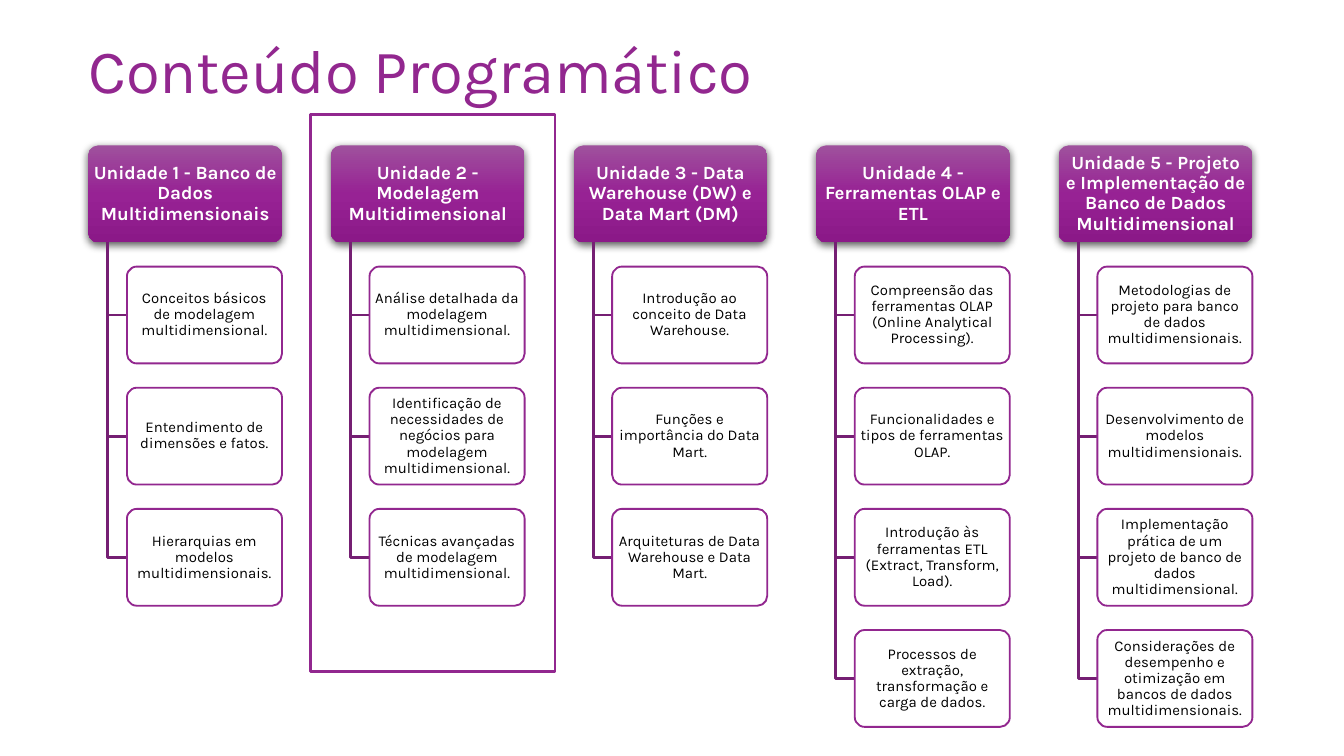
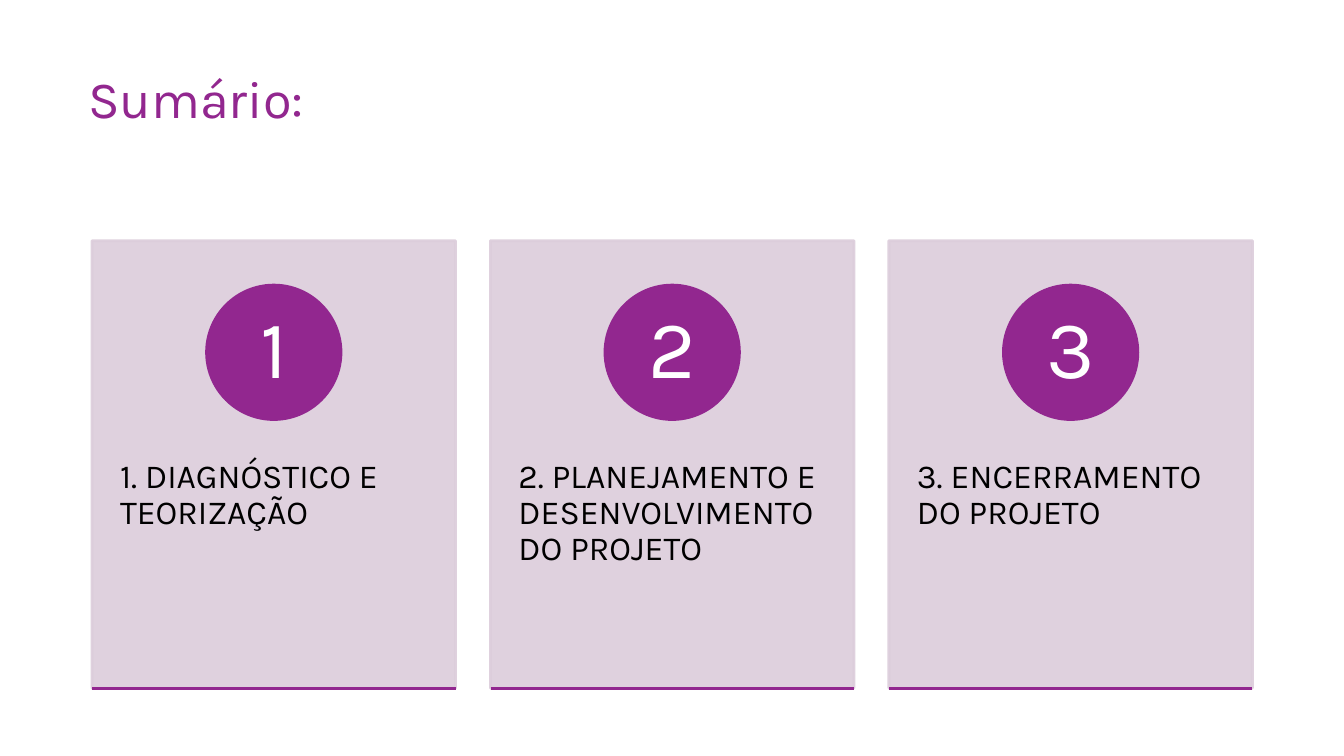
"""Builds the course content and summary slides."""
from copy import deepcopy

from lxml.etree import SubElement
from pptx import Presentation
from pptx.dml.color import RGBColor
from pptx.enum.shapes import MSO_CONNECTOR, MSO_SHAPE
from pptx.enum.text import MSO_ANCHOR, PP_ALIGN
from pptx.oxml.ns import qn
from pptx.util import Cm, Pt

PURPLE = RGBColor(0x92, 0x27, 0x8F)
DARK_PURPLE = RGBColor(0x75, 0x1F, 0x73)
LILAC = RGBColor(0xDC, 0xCD, 0xDB)
WHITE = RGBColor(0xFF, 0xFF, 0xFF)
BLACK = RGBColor(0x00, 0x00, 0x00)
HEADER_STOPS = [
    (0, RGBColor(0x9F, 0x51, 0x9D)),
    (0.5, RGBColor(0x97, 0x22, 0x94)),
    (1, RGBColor(0x8B, 0x19, 0x88)),
]
FONT = "Karla"

UNITS = [
    ("Unidade 1 - Banco de Dados Multidimensionais", [
        "Conceitos básicos de modelagem multidimensional.",
        "Entendimento de dimensões e fatos.",
        "Hierarquias em modelos multidimensionais.",
    ]),
    ("Unidade 2 - Modelagem Multidimensional", [
        "Análise detalhada da modelagem multidimensional.",
        "Identificação de necessidades de negócios para modelagem multidimensional.",
        "Técnicas avançadas de modelagem multidimensional.",
    ]),
    ("Unidade 3 - Data Warehouse (DW) e Data Mart (DM)", [
        "Introdução ao conceito de Data Warehouse.",
        "Funções e importância do Data Mart.",
        "Arquiteturas de Data Warehouse e Data Mart.",
    ]),
    ("Unidade 4 - Ferramentas OLAP e ETL", [
        "Compreensão das ferramentas OLAP (Online Analytical Processing).",
        "Funcionalidades e tipos de ferramentas OLAP.",
        "Introdução às ferramentas ETL (Extract, Transform, Load).",
        "Processos de extração, transformação e carga de dados.",
    ]),
    ("Unidade 5 - Projeto e Implementação de Banco de Dados Multidimensional", [
        "Metodologias de projeto para banco de dados multidimensionais.",
        "Desenvolvimento de modelos multidimensionais.",
        "Implementação prática de um projeto de banco de dados multidimensional.",
        "Considerações de desempenho e otimização em bancos de dados multidimensionais.",
    ]),
]
STAGES = [
    "1. DIAGNÓSTICO E TEORIZAÇÃO",
    "2. PLANEJAMENTO E DESENVOLVIMENTO DO PROJETO",
    "3. ENCERRAMENTO DO PROJETO",
]


def write(sp, text, size, color, margins, align=PP_ALIGN.CENTER,
          anchor=MSO_ANCHOR.MIDDLE, bold=False):
    tf = sp.text_frame
    tf.word_wrap = True
    tf.vertical_anchor = anchor
    tf.margin_left = tf.margin_right = Cm(margins[0])
    tf.margin_top = tf.margin_bottom = Cm(margins[1])
    p = tf.paragraphs[0]
    p.text = text
    p.alignment = align
    p.line_spacing = 0.9
    p.font.name = FONT
    p.font.size = Pt(size)
    p.font.bold = bold
    p.font.color.rgb = color


def add_box(s, kind, left, top, width, height, fill=None, line=None,
            weight=1.5, alpha=None):
    sp = s.shapes.add_shape(kind, Cm(left), Cm(top), Cm(width), Cm(height))
    sp.shadow.inherit = False
    if kind == MSO_SHAPE.ROUNDED_RECTANGLE:
        sp.adjustments[0] = 0.1
    if fill is None:
        sp.fill.background()
    else:
        sp.fill.solid()
        sp.fill.fore_color.rgb = fill
    if line is None:
        sp.line.fill.background()
    else:
        sp.line.color.rgb = line
        sp.line.width = Pt(weight)
    if alpha:
        color = sp.element.spPr.find(qn("a:solidFill"))[0]
        SubElement(color, qn("a:alpha"), val=str(alpha * 1000))
    return sp


prs = Presentation()
prs.slide_width, prs.slide_height = Cm(25.4), Cm(14.29)

slides = []
for title, size, top, width in [("Conteúdo Programático", 33, 0, 21.9),
                                ("Sumário:", 28, 0.53, 19.33)]:
    s = prs.slides.add_slide(prs.slide_layouts[6])
    sp = s.shapes.add_textbox(Cm(1.42), Cm(top), Cm(width), Cm(2.77))
    write(sp, title, size, PURPLE, (0.25, 0.13), PP_ALIGN.LEFT)
    slides.append(s)
content, summary = slides

header_top, header_w, box_h = 2.75, 3.66, 1.83
stem, indent, gap = 0.37, 0.73, 0.46
for col, (unit, topics) in enumerate(UNITS):
    left = 1.67 + col * 4.585
    bottom = header_top + box_h
    sp = add_box(content, MSO_SHAPE.ROUNDED_RECTANGLE, left, header_top,
                 header_w, box_h)
    sp.fill.gradient()
    sp.fill.gradient_angle = 270
    stops = sp.element.spPr.find(".//" + qn("a:gsLst"))
    stops.insert(1, deepcopy(stops[0]))
    for stop, (position, color) in zip(sp.fill.gradient_stops, HEADER_STOPS):
        stop.position = position
        stop.color.rgb = color
    shadow = SubElement(sp.element.spPr.find(qn("a:effectLst")), qn("a:outerShdw"),
                        blurRad=str(Pt(4.5)), dist=str(Pt(1.5)), dir="5400000",
                        algn="ctr", rotWithShape="0")
    color = SubElement(shadow, qn("a:srgbClr"), val=str(BLACK))
    SubElement(color, qn("a:alpha"), val="63000")
    write(sp, unit, 10, WHITE, (0.05, 0.03), bold=True)

    for row, topic in enumerate(topics):
        top = bottom + gap + row * (box_h + gap)
        middle = top + box_h / 2
        branch = content.shapes.build_freeform(Cm(left + stem), Cm(bottom))
        branch.add_line_segments([(Cm(left + stem), Cm(middle)),
                                  (Cm(left + indent), Cm(middle))], close=False)
        sp = branch.convert_to_shape()
        sp.shadow.inherit = False
        sp.fill.background()
        sp.line.color.rgb = DARK_PURPLE
        sp.line.width = Pt(1.5)
        sp = add_box(content, MSO_SHAPE.ROUNDED_RECTANGLE, left + indent, top,
                     header_w - indent, box_h, WHITE, PURPLE, 1, 90)
        write(sp, topic, 8, BLACK, (0.05, 0.03))

add_box(content, MSO_SHAPE.RECTANGLE, 5.87, 2.16, 4.62, 10.54, line=PURPLE)

card_top, card_w, card_h, circle = 4.55, 6.87, 8.46, 2.54
for i, stage in enumerate(STAGES):
    left = 1.74 + i * 7.53
    sp = add_box(summary, MSO_SHAPE.RECTANGLE, left, card_top, card_w, card_h,
                 LILAC, LILAC, alpha=90)
    color = sp.line._ln.find(qn("a:solidFill"))[0]
    SubElement(color, qn("a:alpha"), val="90000")
    write(sp, stage, 18, BLACK, (0.53, 0.91), PP_ALIGN.LEFT, MSO_ANCHOR.TOP)
    sp.text_frame.margin_top = Cm(4.13)

    sp = add_box(summary, MSO_SHAPE.OVAL, left + (card_w - circle) / 2, 5.39,
                 circle, circle, PURPLE, PURPLE)
    write(sp, str(i + 1), 44, WHITE, (0.2, 0.03))

    y = Cm(card_top + card_h)
    line = summary.shapes.add_connector(MSO_CONNECTOR.STRAIGHT, Cm(left), y,
                                        Cm(left + card_w), y)
    line.line.color.rgb = PURPLE
    line.line.width = Pt(1.5)
    SubElement(line.element.spPr, qn("a:effectLst"))

prs.save("out.pptx")
